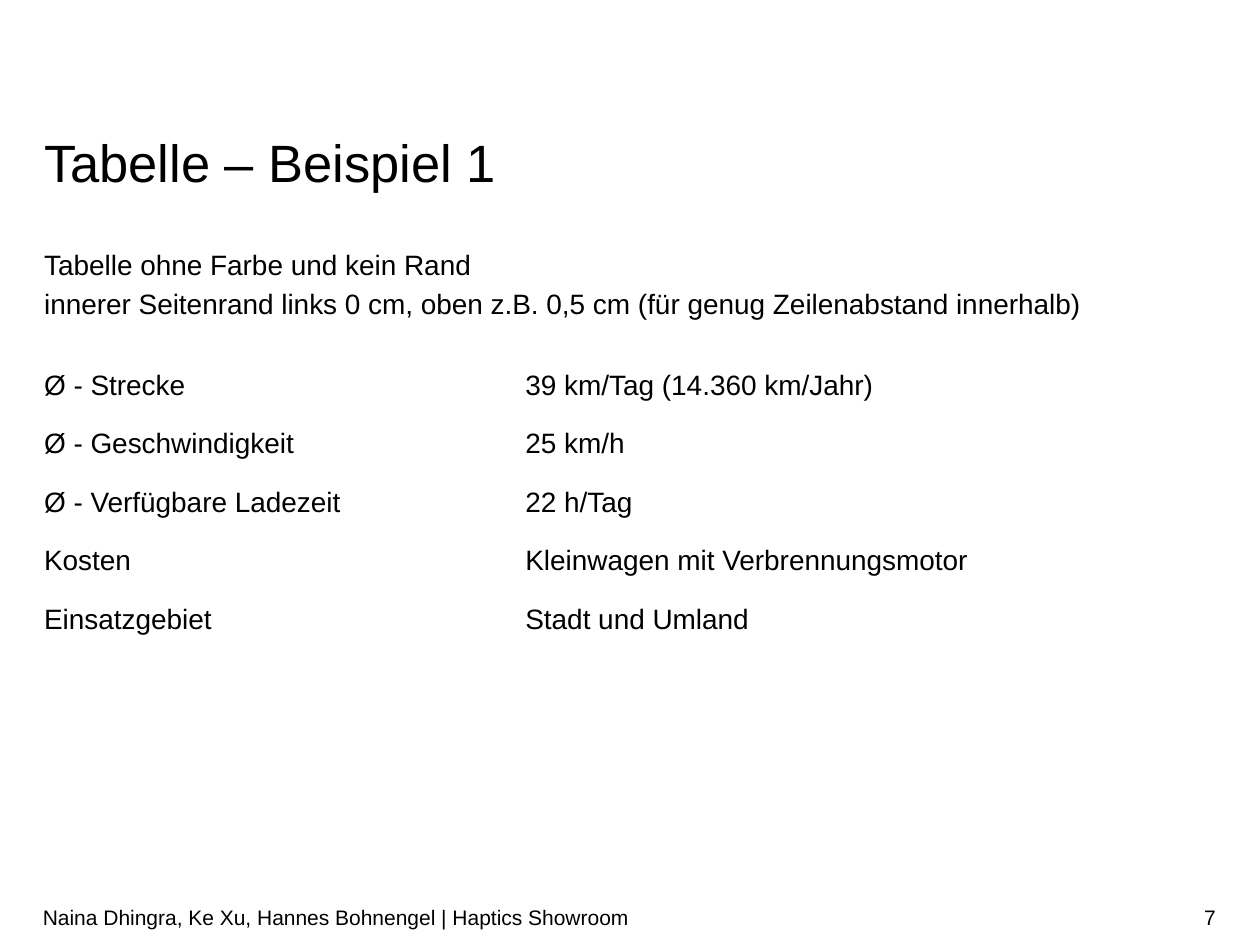
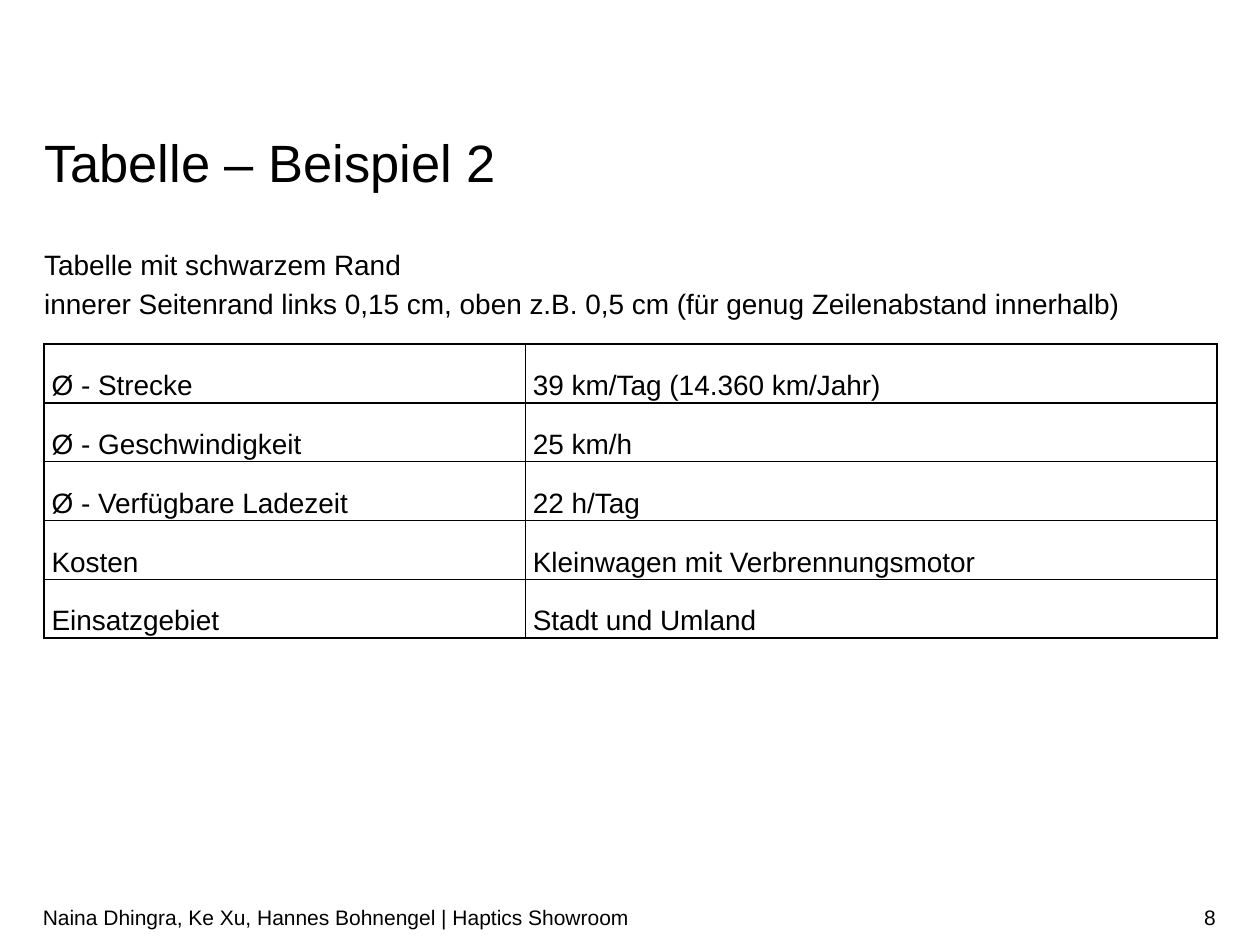
from lxml import etree
from pptx import Presentation
from pptx.dml.color import RGBColor
from pptx.enum.text import MSO_ANCHOR, PP_ALIGN
from pptx.oxml.ns import qn
from pptx.util import Inches, Pt

TOP, MIDDLE = MSO_ANCHOR.TOP, MSO_ANCHOR.MIDDLE
LEFT, RIGHT = PP_ALIGN.LEFT, PP_ALIGN.RIGHT

# Content: "\v" is a line break within a paragraph
FOOTER = "Naina Dhingra, Ke Xu, Hannes Bohnengel | Haptics Showroom"
ROWS = [
    ("Ø - Strecke", "39 km/Tag (14.360 km/Jahr)"),
    ("Ø - Geschwindigkeit", "25 km/h"),
    ("Ø - Verfügbare Ladezeit", "22 h/Tag"),
    ("Kosten", "Kleinwagen mit Verbrennungsmotor"),
    ("Einsatzgebiet", "Stadt und Umland"),
]
SLIDES = [
    {"number": 7, "title": "Tabelle – Beispiel 1",
     "body": "Tabelle ohne Farbe und kein Rand\vinnerer Seitenrand links 0 cm, "
             "oben z.B. 0,5 cm (für genug Zeilenabstand innerhalb)",
     "cell_left": 0, "border": None},
    {"number": 8, "title": "Tabelle – Beispiel 2",
     "body": "Tabelle mit schwarzem Rand\vinnerer Seitenrand links 0,15 cm, "
             "oben z.B. 0,5 cm (für genug Zeilenabstand innerhalb)",
     "cell_left": 0.06, "border": "000000"},
]

# Shared style
FONT, TEXT_COLOUR = "Arial", "000000"
TITLE_SIZE, BODY_SIZE, FOOTER_SIZE = 30, 16, 12
MARGIN, CONTENT_WIDTH = 0.35, 9.31
COLUMN_WIDTHS = (3.82, 5.49)
TABLE_TOP, TABLE_HEIGHT = 2.73, 2.32
CELL_TOP = 0.2
FOOTER_TOP, FOOTER_HEIGHT = 7.08, 0.4


def colour(value):
    return RGBColor.from_string(value)


def format_text(paragraph, size):
    for run in paragraph.runs:
        run.font.name = FONT
        run.font.size = Pt(size)
        run.font.color.rgb = colour(TEXT_COLOUR)


def add_text(slide, text, box, size, align=LEFT, anchor=TOP, inset=0, spacing=None):
    frame = slide.shapes.add_textbox(*map(Inches, box)).text_frame
    frame.word_wrap = True
    frame.vertical_anchor = anchor
    frame.margin_left = frame.margin_right = 0
    frame.margin_top = frame.margin_bottom = Inches(inset)
    paragraph = frame.paragraphs[0]
    paragraph.text = text
    paragraph.alignment = align
    paragraph.line_spacing = spacing
    format_text(paragraph, size)


def set_borders(cell, border):
    properties = cell._tc.get_or_add_tcPr()
    for side in ("lnL", "lnR", "lnT", "lnB"):
        line = etree.SubElement(properties, qn(f"a:{side}"), w=str(Pt(1)))
        if border:
            fill = etree.SubElement(line, qn("a:solidFill"))
            etree.SubElement(fill, qn("a:srgbClr"), val=border)
        else:
            etree.SubElement(line, qn("a:noFill"))


def add_data_table(slide, cell_left, border):
    box = (MARGIN, TABLE_TOP, CONTENT_WIDTH, TABLE_HEIGHT)
    table = slide.shapes.add_table(len(ROWS), len(COLUMN_WIDTHS), *map(Inches, box)).table
    table.first_row = table.horz_banding = False
    for column, width in zip(table.columns, COLUMN_WIDTHS):
        column.width = Inches(width)
    for row, values in zip(table.rows, ROWS):
        row.height = Inches(TABLE_HEIGHT / len(ROWS))
        for cell, value in zip(row.cells, values):
            cell.text_frame.text = value
            format_text(cell.text_frame.paragraphs[0], BODY_SIZE)
            cell.vertical_anchor = MIDDLE
            cell.margin_left, cell.margin_top = Inches(cell_left), Inches(CELL_TOP)
            cell.margin_right = cell.margin_bottom = 0
            set_borders(cell, border)
            cell.fill.background()


def add_footer(slide, number):
    add_text(slide, str(number), (7.41, FOOTER_TOP, 2.24, FOOTER_HEIGHT),
             FOOTER_SIZE, RIGHT, MIDDLE, 0.05)
    add_text(slide, FOOTER, (0.34, FOOTER_TOP, 7.07, FOOTER_HEIGHT),
             FOOTER_SIZE, LEFT, MIDDLE, 0.05)


presentation = Presentation()
presentation.slide_width, presentation.slide_height = Inches(10), Inches(7.5)
blank_layout = presentation.slide_layouts[6]

for content in SLIDES:
    slide = presentation.slides.add_slide(blank_layout)
    add_data_table(slide, content["cell_left"], content["border"])
    add_text(slide, content["body"], (MARGIN, 1.93, CONTENT_WIDTH, 0.78),
             BODY_SIZE, spacing=1.14)
    add_text(slide, content["title"], (MARGIN, 1.09, CONTENT_WIDTH, 0.45),
             TITLE_SIZE, spacing=Pt(32))
    add_footer(slide, content["number"])

presentation.save("out.pptx")
